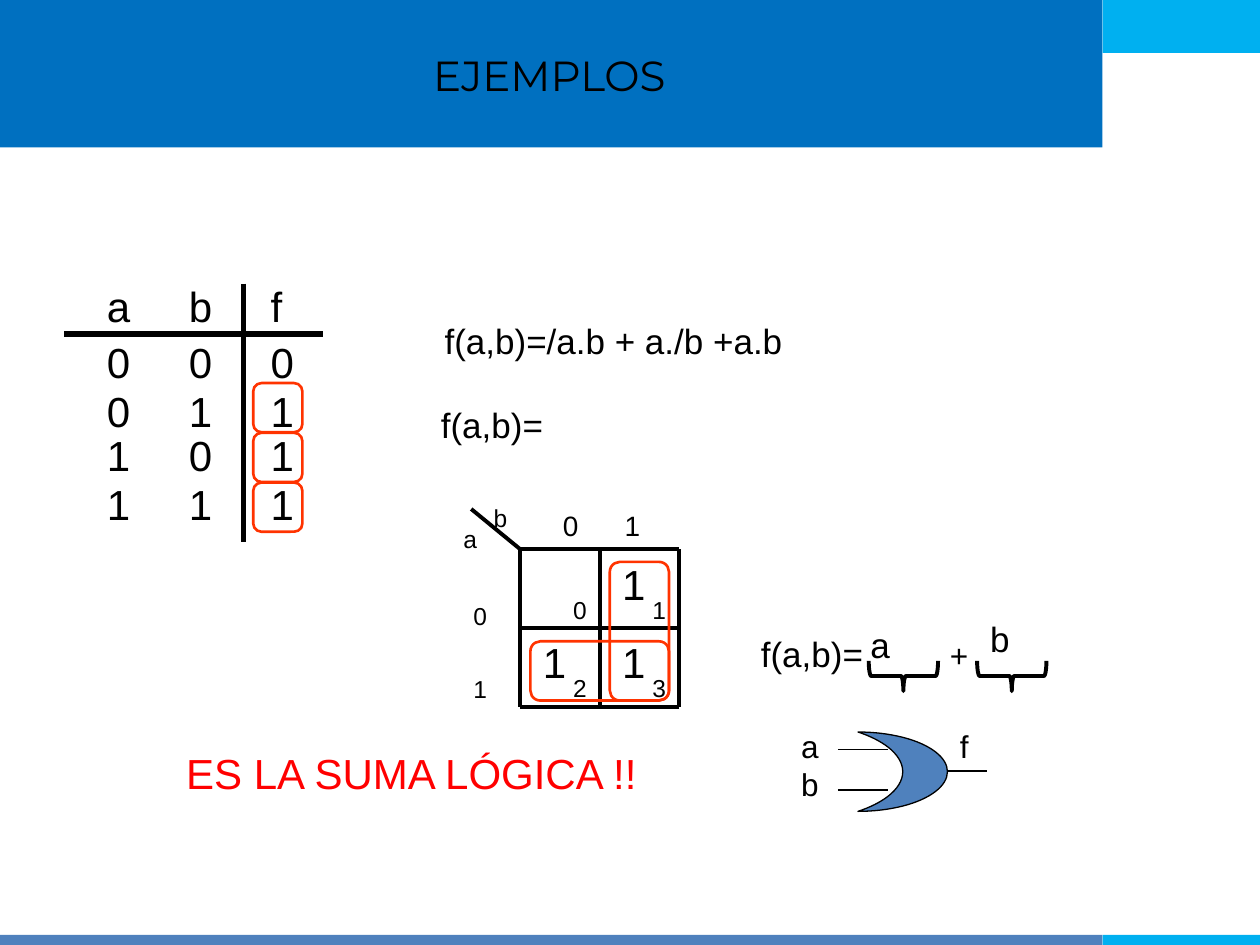
from collections import namedtuple

from lxml.etree import SubElement
from pptx import Presentation
from pptx.dml.color import RGBColor
from pptx.enum.shapes import MSO_CONNECTOR, MSO_SHAPE
from pptx.enum.text import MSO_ANCHOR, MSO_AUTO_SIZE, PP_ALIGN
from pptx.oxml.ns import qn
from pptx.util import Inches, Pt

BLACK = RGBColor(0x00, 0x00, 0x00)
RED = RGBColor(0xFF, 0x00, 0x00)
ORANGE = RGBColor(0xFF, 0x33, 0x00)
HEADER_BLUE = RGBColor(0x00, 0x70, 0xC0)
SKY_BLUE = RGBColor(0x00, 0xB0, 0xF0)
STEEL_BLUE = RGBColor(0x4F, 0x81, 0xBD)

Box = namedtuple("Box", "left top width height")


def add_label(slide, box, text, size, color=BLACK, tabs=(), spacing=None, wrap=True):
    label = slide.shapes.add_textbox(*map(Inches, box))
    frame = label.text_frame
    frame.word_wrap = wrap
    frame.auto_size = MSO_AUTO_SIZE.SHAPE_TO_FIT_TEXT
    frame.text = text
    for paragraph in frame.paragraphs:
        if tabs:
            tab_list = SubElement(paragraph._p.get_or_add_pPr(), qn("a:tabLst"))
            for stop in tabs:
                SubElement(tab_list, qn("a:tab"), pos=str(Inches(stop)), algn="l")
        if spacing:
            paragraph.line_spacing = spacing
        paragraph.font.name = "Arial"
        paragraph.font.size = Pt(size)
        paragraph.font.color.rgb = color


def add_line(slide, x1, y1, x2, y2, weight):
    line = slide.shapes.add_connector(
        MSO_CONNECTOR.STRAIGHT, Inches(x1), Inches(y1), Inches(x2), Inches(y2))
    line.line.color.rgb = BLACK
    line.line.width = Pt(weight)
    SubElement(line._element.spPr, qn("a:effectLst"))


def add_figure(slide, kind, box, fill=None, outline=None, weight=None):
    figure = slide.shapes.add_shape(kind, *map(Inches, box))
    figure.shadow.inherit = False
    if fill is None:
        figure.fill.background()
    else:
        figure.fill.solid()
        figure.fill.fore_color.rgb = fill
    if outline is None:
        figure.line.fill.background()
    else:
        figure.line.color.rgb = outline
        figure.line.width = Pt(weight)
    return figure


def add_group_mark(slide, box):
    add_figure(slide, MSO_SHAPE.ROUNDED_RECTANGLE, box, outline=ORANGE, weight=1.5)


def add_frame_and_title(slide, box):
    main_width, side_width = box.width - 1.25, 1.25
    side, footer = box.left + main_width, box.top + box.height - 0.08
    for bar, color in (
        (Box(box.left, box.top, main_width, 1.17), HEADER_BLUE),
        (Box(side, box.top, side_width, 0.42), SKY_BLUE),
        (Box(box.left, footer, main_width, 0.08), STEEL_BLUE),
        (Box(side, footer, side_width, 0.08), SKY_BLUE),
    ):
        add_figure(slide, MSO_SHAPE.RECTANGLE, bar, fill=color)

    title = slide.shapes.title
    slide.shapes._spTree.append(title._element)
    title.left, title.top = Inches(box.left + 0.11), Inches(box.top + 0.11)
    title.width, title.height = Inches(8.5), Inches(0.97)
    title.text_frame.text = "EJEMPLOS"
    title.text_frame.vertical_anchor = MSO_ANCHOR.MIDDLE
    heading = title.text_frame.paragraphs[0]
    heading.alignment = PP_ALIGN.CENTER
    heading.font.name = "Montserrat"
    heading.font.size = Pt(24)
    heading.font.color.rgb = BLACK


def add_truth_table(slide, box):
    rule_y, rule_x = box.top + 0.4, box.left + 1.42
    add_line(slide, box.left, rule_y, box.left + box.width, rule_y, 3)
    add_line(slide, rule_x, box.top, rule_x, box.top + box.height, 3)
    rows = ((-0.07, "abf"), (0.37, "000"), (0.76, "011"), (1.11, "101"), (1.5, "111"))
    for offset, values in rows:
        add_label(slide, Box(box.left + 0.24, box.top + offset, 1.85, 0.5),
                  "\t".join(values), 24, tabs=(0.65, 1.3))
    for row in range(3):
        add_group_mark(slide, Box(box.left + 1.5, box.top + 0.79 + row * 0.395, 0.39, 0.39))


def add_karnaugh_map(slide, box):
    left, top, width, height = box
    cell_width, cell_height = width / 2, height / 2
    for step in range(3):
        x, y = left + step * cell_width, top + step * cell_height
        add_line(slide, x, top, x, top + height, 2.25)
        add_line(slide, left, y, left + width, y, 2.25)
    add_line(slide, left - 0.39, top - 0.32, left, top, 2.25)

    add_label(slide, Box(left - 0.31, top - 0.42, 0.47, 0.34), "b", 14)
    add_label(slide, Box(left - 0.55, top - 0.25, 0.47, 0.34), "a", 14)
    add_label(slide, Box(left - 0.47, top + 0.01, 0.47, 1.18), "0\n1", 14, spacing=2.5)
    add_label(slide, Box(left + 0.24, top - 0.37, 0.94, 0.37), "0\t1", 16, tabs=(0.49,))

    for index, value in enumerate(("", "1", "1", "1")):
        row, column = divmod(index, 2)
        x, y = left + column * cell_width, top + row * cell_height
        add_label(slide, Box(x + 0.32, y + 0.31, 0.47, 0.34), str(index), 14)
        if value:
            add_label(slide, Box(x + 0.08, y + 0.02, 0.47, 0.5), value, 24)

    add_group_mark(slide, Box(left + 0.71, top + 0.1, 0.47, 1.1))
    add_group_mark(slide, Box(left + 0.08, top + 0.73, 1.1, 0.47))


def add_formulas(slide, box):
    add_label(slide, Box(box.left + 0.03, box.top, 2.91, 0.44),
              "f(a,b)=/a.b + a./b +a.b", 20)
    add_label(slide, Box(box.left, box.top + 0.66, 1.05, 0.44), "f(a,b)=", 20)


def add_simplified_sum(slide, box):
    left, top = box.left, box.top
    add_label(slide, Box(left, top + 0.12, 1.1, 0.44), "f(a,b)=", 20)
    add_label(slide, Box(left + 0.87, top + 0.05, 0.63, 0.44), "a", 20)
    add_label(slide, Box(left + 1.5, top + 0.15, 0.35, 0.4), "+", 18, wrap=False)
    add_label(slide, Box(left + 1.82, top, 0.63, 0.44), "b", 20)
    for offset in (1.11, 1.97):
        brace = add_figure(slide, MSO_SHAPE.LEFT_BRACE,
                           Box(left + offset, top + 0.24, 0.24, 0.55),
                           outline=BLACK, weight=2.25)
        brace.rotation = 270


def add_or_gate(slide, box):
    left, top = box.left, box.top
    gate = add_figure(slide, MSO_SHAPE.MOON, Box(left + 0.55, top + 0.09, 0.71, 0.63),
                      fill=STEEL_BLUE, outline=BLACK, weight=0.75)
    gate._element.spPr.get_or_add_xfrm().set("flipH", "1")
    for offset in (0.23, 0.55):
        add_line(slide, left + 0.39, top + offset, left + 0.79, top + offset, 0.75)
    add_line(slide, left + 1.26, top + 0.4, left + 1.57, top + 0.4, 0.75)
    add_label(slide, Box(left, top, 0.47, 0.71), "a\nb", 18)
    add_label(slide, Box(left + 1.26, top, 0.39, 0.4), "f", 18)


def main():
    deck = Presentation()
    deck.slide_width, deck.slide_height = Inches(10), Inches(7.5)
    slide = deck.slides.add_slide(deck.slide_layouts[5])
    add_frame_and_title(slide, Box(0, 0, 10, 7.5))
    add_truth_table(slide, Box(0.51, 2.25, 2.05, 2.05))
    add_formulas(slide, Box(3.4, 2.49, 2.94, 1.1))
    add_karnaugh_map(slide, Box(4.13, 4.36, 1.26, 1.25))
    add_simplified_sum(slide, Box(5.94, 4.85, 2.45, 0.79))
    add_or_gate(slide, Box(6.26, 5.72, 1.65, 0.72))
    add_label(slide, Box(1.38, 5.88, 3.94, 0.5), "ES LA SUMA LÓGICA !!", 24, RED)
    deck.save("out.pptx")


if __name__ == "__main__":
    main()
